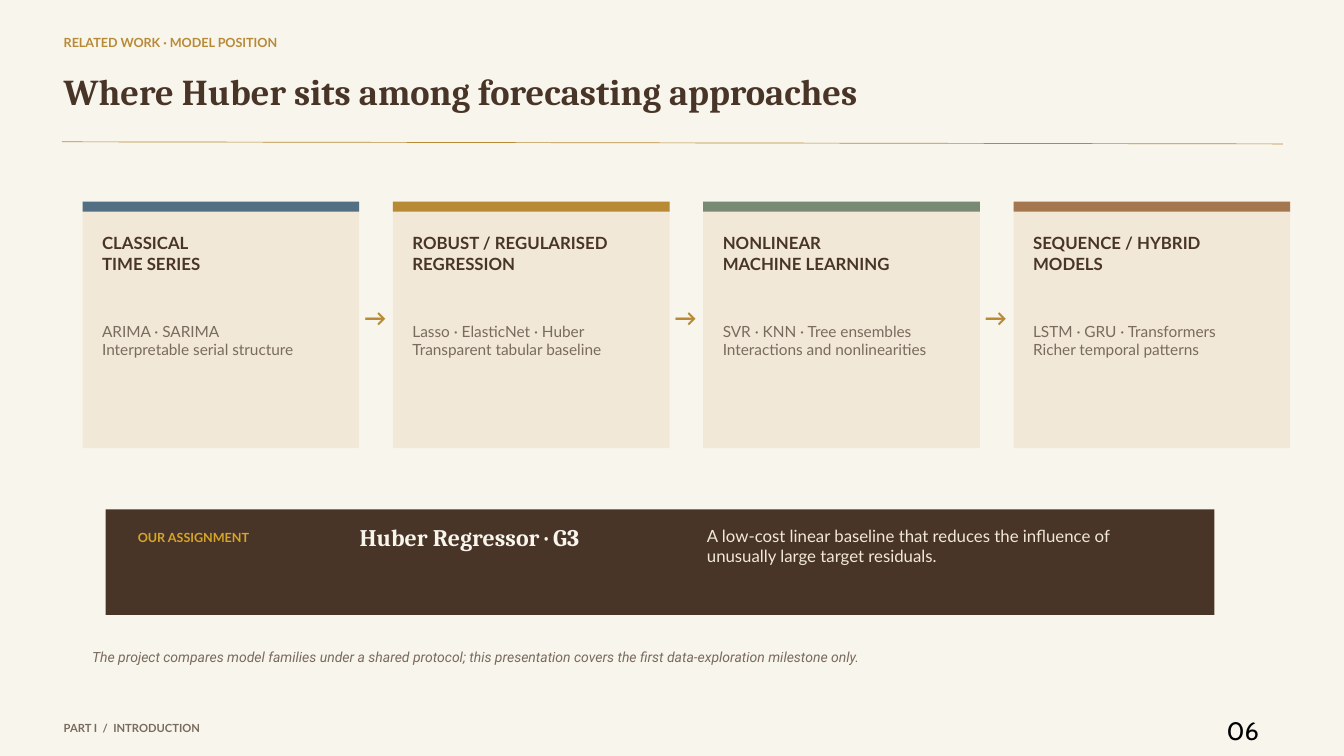
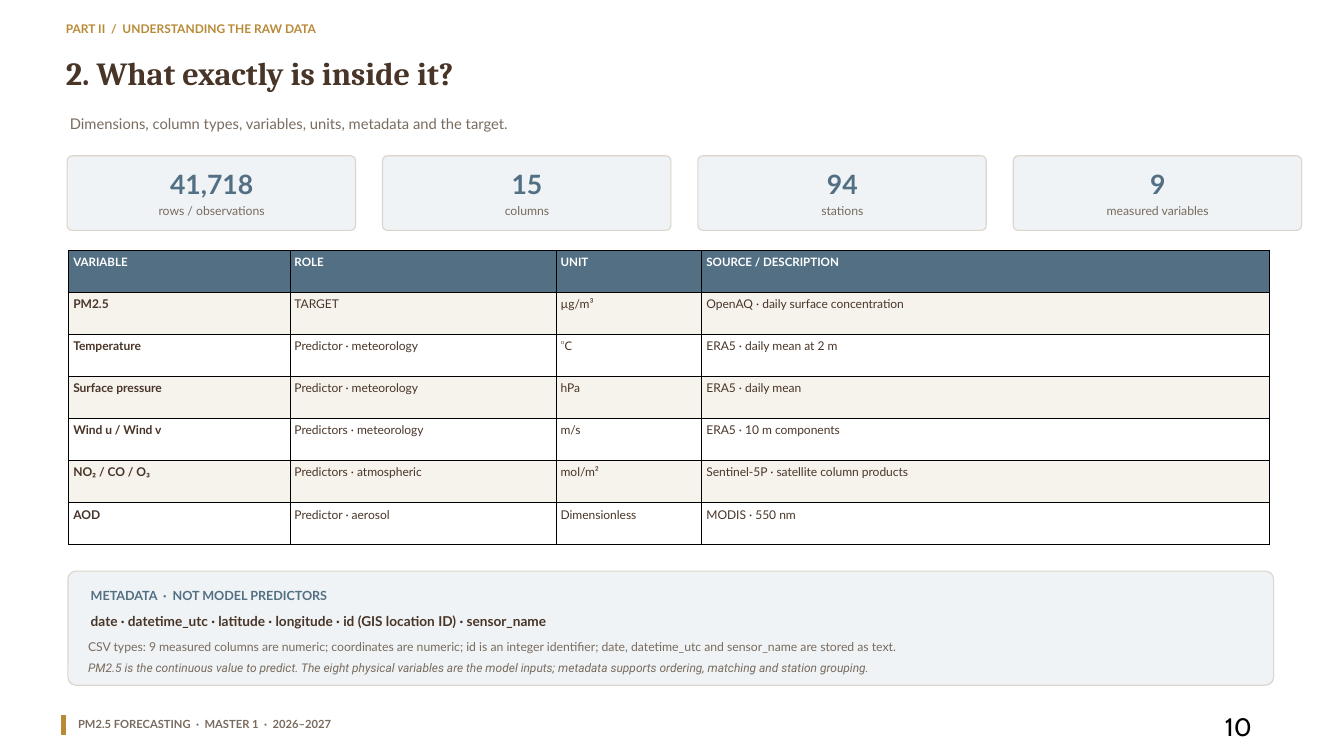
import pptx
import pptx.dml.color
import pptx.enum.shapes
import pptx.enum.text
import pptx.oxml
import pptx.oxml.ns
import pptx.util

Cm = pptx.util.Cm
Pt = pptx.util.Pt
RGB = pptx.dml.color.RGBColor.from_string
SHAPE = pptx.enum.shapes.MSO_SHAPE
ALIGN = pptx.enum.text.PP_ALIGN


class Theme:
    # Colours
    cream, white, black = "F8F5ED", "FFFFFF", "000000"
    sand, stripe, mist, edge = "F1E8D8", "F6F3ED", "EFF3F5", "DCD5CB"
    brown, taupe = "493528", "796B5E"
    gold, bright_gold = "B88A36", "D6A52A"
    blue, green, copper = "526F83", "788A73", "A4774F"
    # Text styles: font, size, colour, bold, italic
    section = ("Lato", 13.5, gold, True, False)
    section_small = ("Lato", 12.8, gold, True, False)
    title = ("Cambria", 39, brown, True, False)
    title_small = ("Cambria", 34.5, brown, True, False)
    subtitle = ("Lato", 15.8, taupe, False, False)
    footer = ("Lato", 12, taupe, True, False)
    page_number = ("Cabin", 27, black, False, False)
    card_head = ("Lato", 18, brown, True, False)
    card_body = ("Lato", 16.5, taupe, False, False)
    arrow = ("Lato", 24, gold, True, False)
    banner_label = ("Lato", 13.5, bright_gold, True, False)
    banner_name = ("Cambria", 25.5, cream, True, False)
    banner_body = ("Lato", 18, sand, False, False)
    note = ("Roboto", 15, taupe, False, True)
    note_small = ("Roboto", 12.8, taupe, False, True)
    stat_value = ("Lato", 28.5, blue, True, False)
    small_body = ("Lato", 13.1, taupe, False, False)
    table_head = ("Lato", 12.4, white, True, False)
    table_key = ("Lato", 12.9, brown, True, False)
    table_body = ("Lato", 12.9, brown, False, False)
    table_degree = ("Cabin", 12.9, brown, False, False)
    panel_head = ("Lato", 13.5, blue, True, False)
    panel_fields = ("Lato", 14.6, brown, True, False)


def format_text(text_frame, text, style, alignment=ALIGN.LEFT):
    """Write text in one style, with line spacing of 1.2 times its size."""
    font_name, size, color, bold, italic = style
    text_frame.text = text
    for paragraph in text_frame.paragraphs:
        paragraph.alignment = alignment
        paragraph.line_spacing = Pt(1.2 * size)
        for run in paragraph.runs:
            run.font.name = font_name
            run.font.size = Pt(size)
            run.font.color.rgb = RGB(color)
            run.font.bold = bold
            run.font.italic = italic


def add_text(slide, box, text, style, alignment=ALIGN.LEFT):
    """Add a wrapping text box without insets; box is given in centimetres."""
    text_frame = slide.shapes.add_textbox(*map(Cm, box)).text_frame
    text_frame.margin_left = text_frame.margin_right = 0
    text_frame.margin_top = text_frame.margin_bottom = 0
    text_frame.word_wrap = True
    text_frame.auto_size = pptx.enum.text.MSO_AUTO_SIZE.SHAPE_TO_FIT_TEXT
    format_text(text_frame, text, style, alignment)


presentation = pptx.Presentation()
presentation.slide_width = Cm(50.8)
presentation.slide_height = presentation.slide_width * 9 // 16
position_slide, contents_slide = [
    presentation.slides.add_slide(presentation.slide_layouts[6]) for _ in range(2)
]
for slide, background in ((position_slide, Theme.cream), (contents_slide, Theme.white)):
    slide.background.fill.solid()
    slide.background.fill.fore_color.rgb = RGB(background)

# Content of the four model families and the four statistics
families = [
    (Theme.blue, "CLASSICAL\nTIME SERIES",
     "ARIMA · SARIMA\nInterpretable serial structure"),
    (Theme.gold, "ROBUST / REGULARISED\nREGRESSION",
     "Lasso · ElasticNet · Huber\nTransparent tabular baseline"),
    (Theme.green, "NONLINEAR\nMACHINE LEARNING",
     "SVR · KNN · Tree ensembles\nInteractions and nonlinearities"),
    (Theme.copper, "SEQUENCE / HYBRID\nMODELS",
     "LSTM · GRU · Transformers\nRicher temporal patterns"),
]
statistics = [
    ("41,718", "rows / observations"),
    ("15", "columns"),
    ("94", "stations"),
    ("9", "measured variables"),
]
card_lefts = [3.12 + 11.73 * index for index in range(len(families))]
stat_lefts = [2.54 + 11.92 * index for index in range(len(statistics))]

# Filled panels: slide, box, fill, outline, corner radius
panels = []
for left, (accent, _, _) in zip(card_lefts, families):
    panels.append((position_slide, (left, 7.62, 10.46, 9.32), Theme.sand, None, 0))
    panels.append((position_slide, (left, 7.62, 10.46, 0.38), accent, None, 0))
panels.append((position_slide, (3.99, 19.25, 41.91, 3.99), Theme.brown, None, 0))
panels.append((contents_slide, (2.34, 27.03, 0.13, 0.74), Theme.gold, Theme.gold, 0))
for left in stat_lefts:
    panels.append((contents_slide, (left, 5.89, 10.9, 2.82), Theme.mist, Theme.edge, 0.19))
panels.append((contents_slide, (2.57, 21.59, 45.57, 4.31), Theme.mist, Theme.edge, 0.3))

for slide, box, fill, outline, radius in panels:
    kind = SHAPE.ROUNDED_RECTANGLE if radius else SHAPE.RECTANGLE
    shape = slide.shapes.add_shape(kind, *map(Cm, box))
    shape.shadow.inherit = False
    shape.fill.solid()
    shape.fill.fore_color.rgb = RGB(fill)
    if radius:
        shape.adjustments[0] = radius / box[3]
    if outline:
        shape.line.color.rgb = RGB(outline)
        shape.line.width = Pt(1.2)
    else:
        shape.line.fill.background()

# Section label, title, footer and page number of both slides
for slide, box, text, style in (
    (position_slide, (2.41, 1.32, 18.95, 0.76), "RELATED WORK · MODEL POSITION", Theme.section),
    (position_slide, (2.41, 2.62, 45.62, 2.29),
     "Where Huber sits among forecasting approaches", Theme.title),
    (position_slide, (2.41, 27.25, 26.57, 0.58), "PART I  /  INTRODUCTION", Theme.footer),
    (position_slide, (46.36, 27.03, 1.8, 0.81), "06", Theme.page_number),
    (contents_slide, (2.49, 0.81, 28.32, 0.61),
     "PART II  /  UNDERSTANDING THE RAW DATA", Theme.section_small),
    (contents_slide, (2.49, 2.01, 45.47, 2.06),
     "2. What exactly is inside it?", Theme.title_small),
    (contents_slide, (2.95, 27.1, 26.42, 0.51),
     "PM2.5 FORECASTING  ·  MASTER 1  ·  2026–2027", Theme.footer),
    (contents_slide, (46.3, 26.9, 1.45, 0.66), "10", Theme.page_number),
):
    add_text(slide, box, text, style)

# Rule under the first title
rule = position_slide.shapes.add_connector(
    pptx.enum.shapes.MSO_CONNECTOR.STRAIGHT, Cm(2.34), Cm(5.36), Cm(48.49), Cm(5.44))
rule.line.color.rgb = RGB(Theme.gold)
rule.line.width = Pt(0.75)
properties = rule.element.find(pptx.oxml.ns.qn("p:spPr"))
properties.append(properties.makeelement(pptx.oxml.ns.qn("a:effectLst"), {}))

# Model family cards with arrows between them
for left, (_, heading, body) in zip(card_lefts, families):
    add_text(position_slide, (left + 0.74, 8.81, 8.84, 2.49), heading, Theme.card_head)
    add_text(position_slide, (left + 0.74, 12.17, 8.84, 3.33), body, Theme.card_body)
for left in card_lefts[:-1]:
    add_text(position_slide, (left + 10.64, 11.48, 0.97, 1.04), "→", Theme.arrow)

# Assignment banner and closing note
add_text(position_slide, (5.21, 20.02, 7.9, 1.07), "OUR ASSIGNMENT", Theme.banner_label)
add_text(position_slide, (13.59, 19.76, 11.71, 1.52), "Huber Regressor · G3", Theme.banner_name)
add_text(position_slide, (26.72, 19.86, 17.42, 2.36),
         "A low-cost linear baseline that reduces the influence of "
         "unusually large target residuals.", Theme.banner_body)
add_text(position_slide, (3.48, 24.51, 43.71, 0.97),
         "The project compares model families under a shared protocol; "
         "this presentation covers the first data-exploration milestone only.", Theme.note)

# Subtitle and statistics
add_text(contents_slide, (2.64, 4.32, 45.47, 1.04),
         "Dimensions, column types, variables, units, metadata and the target.", Theme.subtitle)
for left, (value, label) in zip(stat_lefts, statistics):
    add_text(contents_slide, (left + 0.53, 6.35, 9.86, 0.91), value,
             Theme.stat_value, ALIGN.CENTER)
    add_text(contents_slide, (left + 0.53, 7.67, 9.86, 0.38), label,
             Theme.small_body, ALIGN.CENTER)

# Variable table
variables = [
    ("VARIABLE", "ROLE", "UNIT", "SOURCE / DESCRIPTION"),
    ("PM2.5", "TARGET", "µg/m³", "OpenAQ · daily surface concentration"),
    ("Temperature", "Predictor · meteorology", "°C", "ERA5 · daily mean at 2 m"),
    ("Surface pressure", "Predictor · meteorology", "hPa", "ERA5 · daily mean"),
    ("Wind u / Wind v", "Predictors · meteorology", "m/s", "ERA5 · 10 m components"),
    ("NO₂ / CO / O₃", "Predictors · atmospheric", "mol/m²",
     "Sentinel-5P · satellite column products"),
    ("AOD", "Predictor · aerosol", "Dimensionless", "MODIS · 550 nm"),
]
column_widths = (8.36, 10.06, 5.51, 21.46)
row_height = 1.59
table = contents_slide.shapes.add_table(
    len(variables), len(column_widths), Cm(2.59), Cm(9.45),
    Cm(sum(column_widths)), Cm(row_height * len(variables))).table
for column, width in zip(table.columns, column_widths):
    column.width = Cm(width)
for row_index, values in enumerate(variables):
    table.rows[row_index].height = Cm(row_height)
    for column_index, value in enumerate(values):
        cell = table.cell(row_index, column_index)
        cell.margin_left = cell.margin_right = Cm(0.18)
        cell.margin_top = cell.margin_bottom = Cm(0.18)
        if row_index == 0:
            style, fill = Theme.table_head, Theme.blue
        else:
            style = Theme.table_body if column_index else Theme.table_key
            fill = Theme.stripe if row_index % 2 else Theme.white
        if value == "°C":
            style = Theme.table_degree
        format_text(cell.text_frame, value, style)
        cell_properties = cell._tc.get_or_add_tcPr()
        for side in ("lnL", "lnR", "lnT", "lnB"):
            cell_properties.append(pptx.oxml.parse_xml(
                f'<a:{side} {pptx.oxml.ns.nsdecls("a")} w="{Pt(0.37)}"><a:solidFill>'
                f'<a:srgbClr val="{Theme.black}"/></a:solidFill></a:{side}>'))
        cell.fill.solid()
        cell.fill.fore_color.rgb = RGB(fill)

# Metadata panel
for left, top, text, style in (
    (3.43, 22.23, "METADATA  ·  NOT MODEL PREDICTORS", Theme.panel_head),
    (3.43, 23.16, "date · datetime_utc · latitude · longitude · "
     "id (GIS location ID) · sensor_name", Theme.panel_fields),
    (3.33, 24.16, "CSV types: 9 measured columns are numeric; coordinates are numeric; "
     "id is an integer identifier; date, datetime_utc and sensor_name are stored as text.",
     Theme.small_body),
    (3.33, 24.97, "PM2.5 is the continuous value to predict. The eight physical variables "
     "are the model inputs; metadata supports ordering, matching and station grouping.",
     Theme.note_small),
):
    add_text(contents_slide, (left, top, 42.42, 0.55), text, style)

presentation.save("out.pptx")
